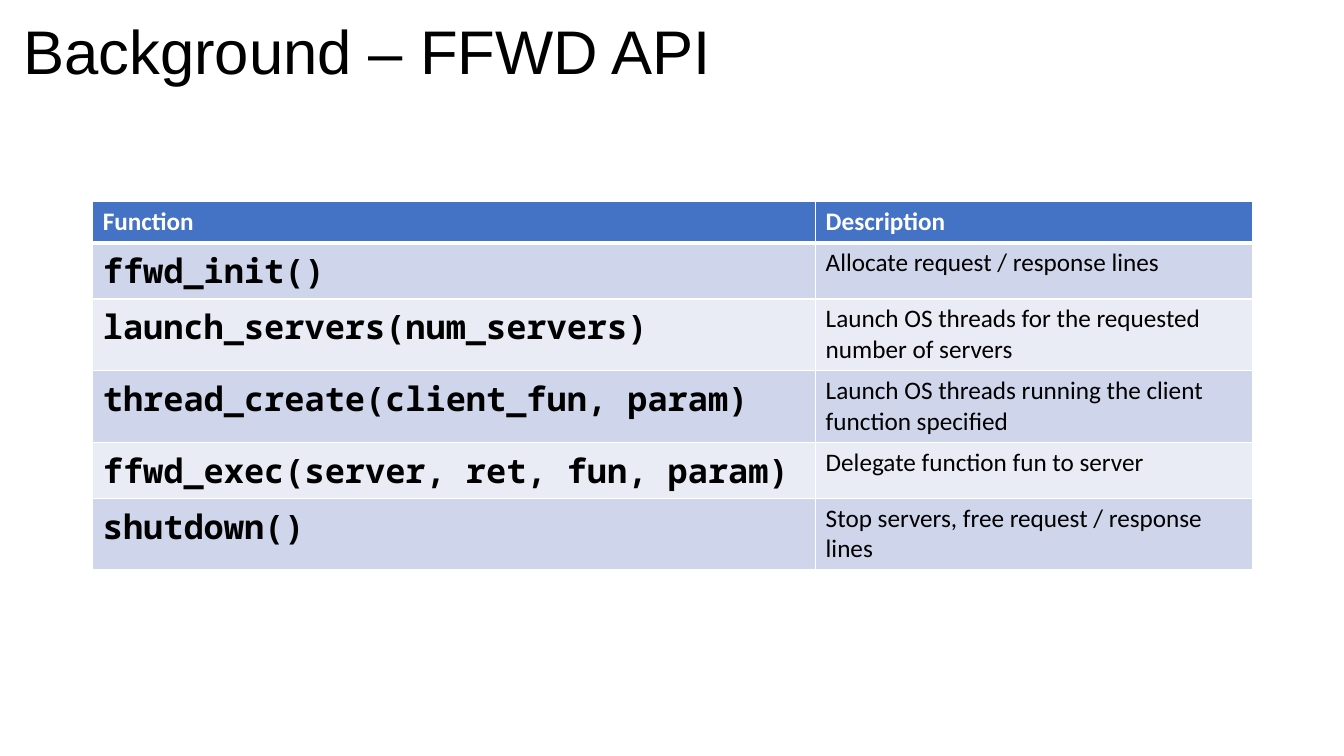
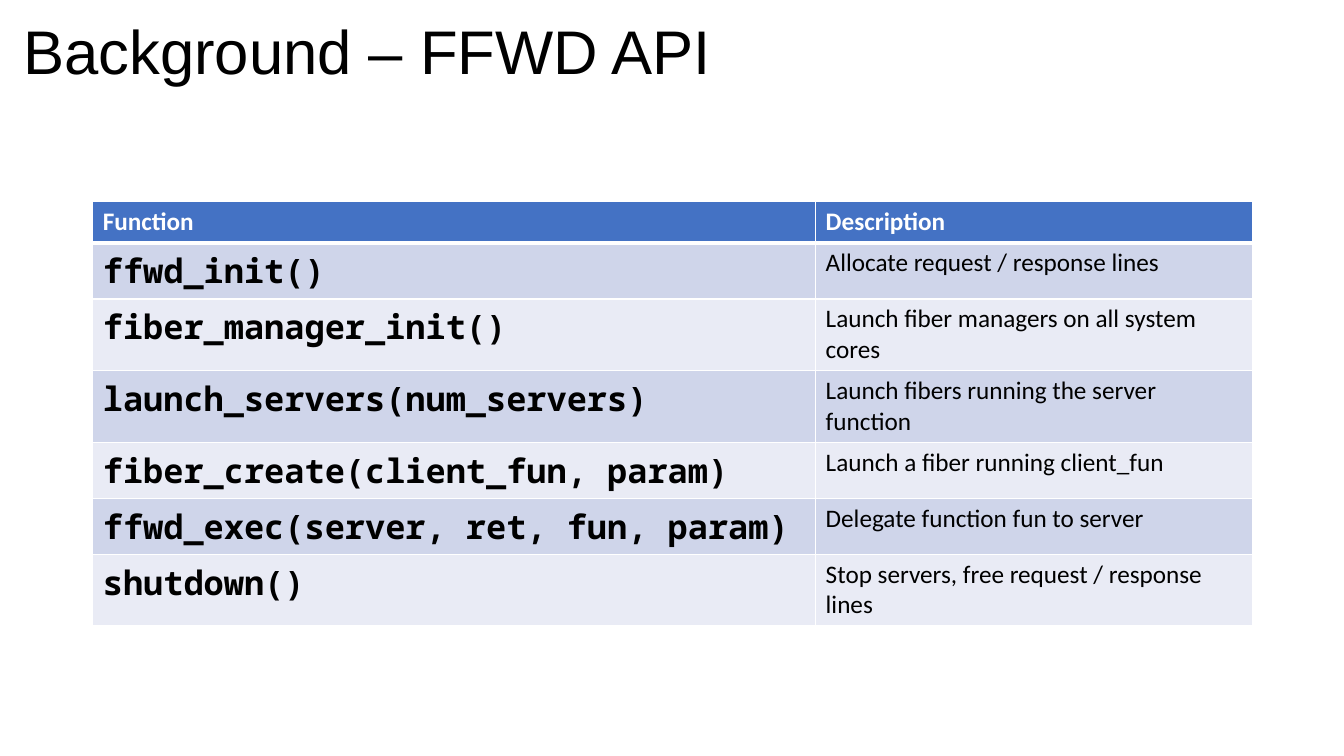
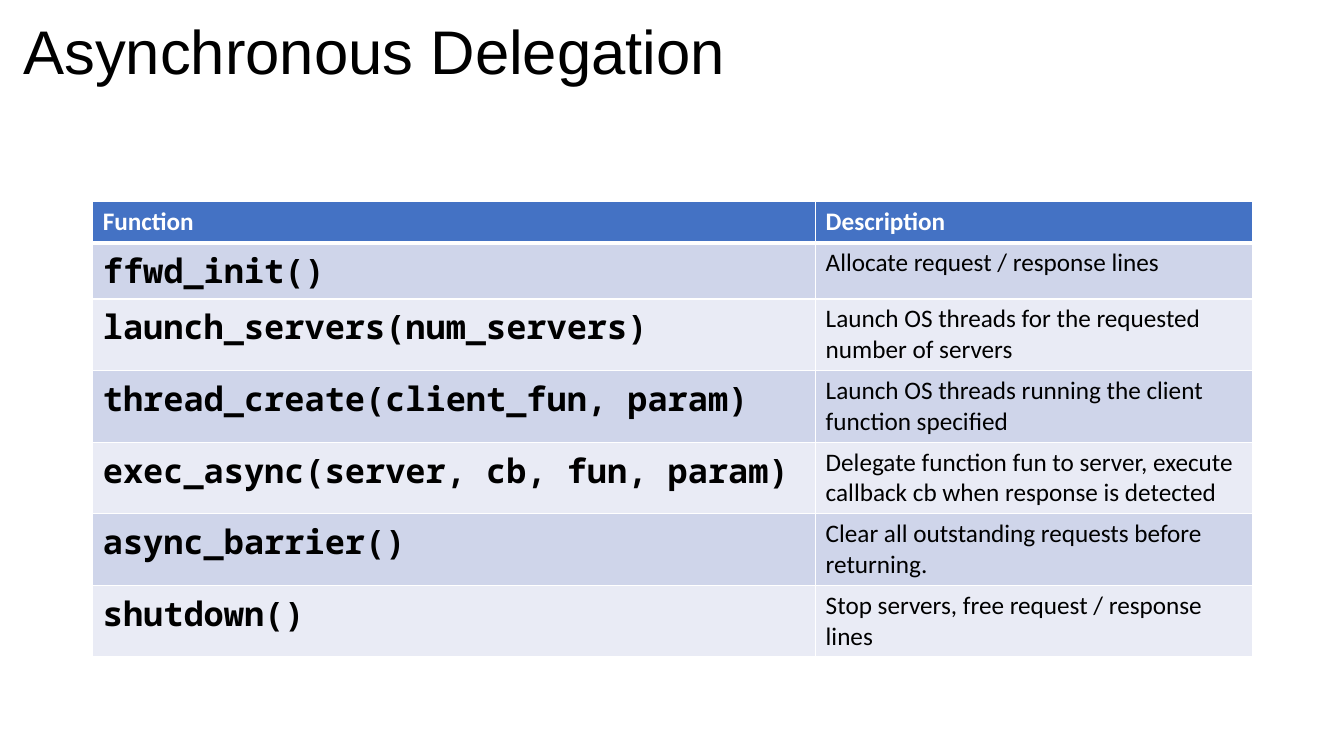
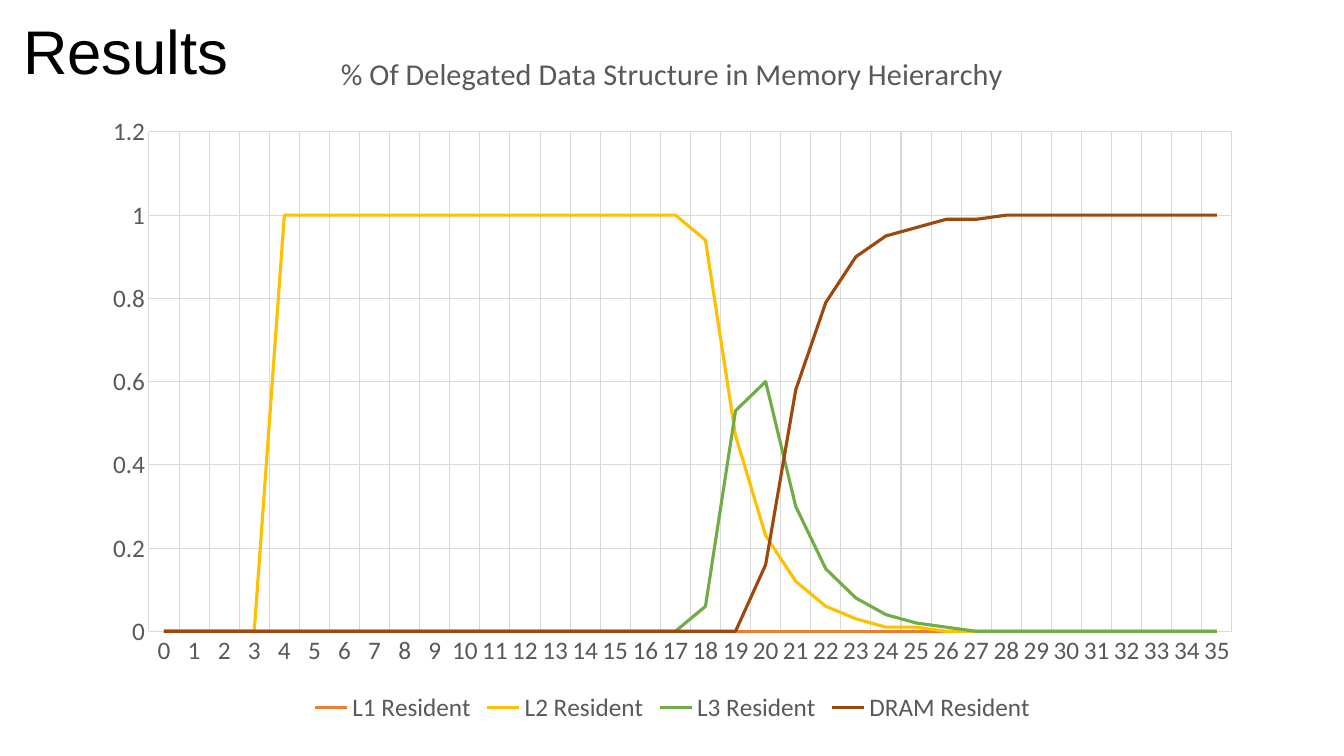
"""Build the delegation API tables and the memory residency chart."""
import dataclasses

import lxml.etree
import pptx
import pptx.chart.data
import pptx.dml.color
import pptx.enum.chart
import pptx.enum.text
import pptx.oxml.ns
import pptx.util


@dataclasses.dataclass(frozen=True)
class Theme:
    heading: str = "Arial"
    body: str = "Calibri"
    code: str = "Noto Sans Mono"
    black: str = "000000"
    white: str = "FFFFFF"
    header: str = "4472C4"
    bands: tuple = ("CFD5EA", "E9EBF5")
    label: str = "595959"
    grid: str = "D9D9D9"
    title_size: float = 44
    code_size: float = 24
    body_size: float = 18
    chart_title_size: float = 21.6
    border: float = 1
    header_border: float = 3
    grid_line: float = 0.75
    series_line: float = 2.25


THEME = Theme()
PX = 9144
SLIDE_SIZE = (1333, 750)
TITLE_BOX = (13, 16, 1150, 145)
TABLE_ORIGIN = (92, 200)
COLUMN_WIDTHS = (717, 433)
ROW_HEIGHT = 41
CHART_BOX = (89, 27, 1156, 695)

TABLE_HEADER = ("Function", "Description")
INIT = ("ffwd_init()", "Allocate request / response lines")
LAUNCH = ("launch_servers(num_servers)", "Launch OS threads for the requested number of servers")
THREAD = ("thread_create(client_fun, param)", "Launch OS threads running the client function specified")
EXEC = ("ffwd_exec(server, ret, fun, param)", "Delegate function fun to server")
SHUTDOWN = ("shutdown()", "Stop servers, free request / response lines")

API_SLIDES = [
    ("Background – FFWD API", [INIT, LAUNCH, THREAD, EXEC, SHUTDOWN]),
    ("Background – FFWD API", [
        INIT,
        ("fiber_manager_init()", "Launch fiber managers on all system cores"),
        ("launch_servers(num_servers)", "Launch fibers running the server function"),
        ("fiber_create(client_fun, param)", "Launch a fiber running client_fun"),
        EXEC,
        SHUTDOWN,
    ]),
    ("Asynchronous Delegation", [
        INIT,
        LAUNCH,
        THREAD,
        ("exec_async(server, cb, fun, param)",
         "Delegate function fun to server, execute callback cb when response is detected"),
        ("async_barrier()", "Clear all outstanding requests before returning."),
        SHUTDOWN,
    ]),
]

RESULTS_TITLE = "Results"
CHART_TITLE = "% Of Delegated Data Structure in Memory Heierarchy"
CATEGORIES = [str(number) for number in range(36)]
RESIDENCY = [
    ("L1 Resident", "ED7D31", [0] * 36),
    ("L2 Resident", "FFC000",
     [0] * 4 + [1] * 14 + [0.94, 0.47, 0.23, 0.12, 0.06, 0.03, 0.01, 0.01] + [0] * 10),
    ("L3 Resident", "70AD47",
     [0] * 18 + [0.06, 0.53, 0.6, 0.3, 0.15, 0.08, 0.04, 0.02, 0.01] + [0] * 9),
    ("DRAM Resident", "9E480E",
     [0] * 20 + [0.16, 0.58, 0.79, 0.9, 0.95, 0.97, 0.99, 0.99] + [1] * 8),
]


def px(*lengths):
    return [length * PX for length in lengths]


def rgb(color):
    return pptx.dml.color.RGBColor.from_string(color)


def assign(target, values):
    for name, value in values.items():
        setattr(target, name, value)


def style_font(font, name, size, color, bold=False):
    assign(font, {"name": name, "size": pptx.util.Pt(size), "bold": bold})
    font.color.rgb = rgb(color)


def style_line(line, color, width):
    line.color.rgb = rgb(color)
    line.width = pptx.util.Pt(width)


def add_titled_slide(deck, text):
    slide = deck.slides.add_slide(deck.slide_layouts[5])
    title = slide.shapes.title
    assign(title, dict(zip(("left", "top", "width", "height"), px(*TITLE_BOX))))
    title.text = text
    assign(title.text_frame, {
        "word_wrap": True,
        "auto_size": pptx.enum.text.MSO_AUTO_SIZE.NONE,
        "vertical_anchor": pptx.enum.text.MSO_ANCHOR.TOP,
    })
    paragraph = title.text_frame.paragraphs[0]
    assign(paragraph, {"alignment": pptx.enum.text.PP_ALIGN.LEFT, "line_spacing": 0.9})
    style_font(paragraph.runs[0].font, THEME.heading, THEME.title_size, THEME.black)
    return slide


def add_borders(cell, top, bottom):
    qn = pptx.oxml.ns.qn
    properties = cell._tc.get_or_add_tcPr()
    widths = {"lnL": THEME.border, "lnR": THEME.border, "lnT": top, "lnB": bottom}
    for side, width in widths.items():
        line = lxml.etree.SubElement(properties, qn("a:" + side), w=str(pptx.util.Pt(width)))
        fill = lxml.etree.SubElement(line, qn("a:solidFill"))
        lxml.etree.SubElement(fill, qn("a:srgbClr"), val=THEME.white)


def add_api_table(slide, functions):
    rows = [TABLE_HEADER, *functions]
    size = (sum(COLUMN_WIDTHS), ROW_HEIGHT * len(rows))
    table = slide.shapes.add_table(
        len(rows), len(COLUMN_WIDTHS), *px(*TABLE_ORIGIN, *size)).table
    for column, width in zip(table.columns, px(*COLUMN_WIDTHS)):
        column.width = width
    header_font = (THEME.body, THEME.body_size, THEME.white, True)
    column_fonts = (
        (THEME.code, THEME.code_size, THEME.black, True),
        (THEME.body, THEME.body_size, THEME.black, False),
    )
    for row_index, row in enumerate(rows):
        is_header = row_index == 0
        fill = THEME.header if is_header else THEME.bands[(row_index - 1) % 2]
        top = THEME.header_border if row_index == 1 else THEME.border
        bottom = THEME.header_border if is_header else THEME.border
        for column_index, text in enumerate(row):
            cell = table.cell(row_index, column_index)
            cell.text = text
            add_borders(cell, top, bottom)
            cell.fill.solid()
            cell.fill.fore_color.rgb = rgb(fill)
            font = header_font if is_header else column_fonts[column_index]
            style_font(cell.text_frame.paragraphs[0].runs[0].font, *font)


def add_residency_chart(slide):
    data = pptx.chart.data.CategoryChartData()
    data.categories = CATEGORIES
    for name, _, values in RESIDENCY:
        data.add_series(name, values)
    chart = slide.shapes.add_chart(
        pptx.enum.chart.XL_CHART_TYPE.LINE, *px(*CHART_BOX), data).chart
    assign(chart, {"has_title": True, "has_legend": True})
    label_font = (THEME.body, THEME.body_size, THEME.label)
    style_font(chart.font, *label_font)

    chart.chart_title.text_frame.text = CHART_TITLE
    chart.chart_title.include_in_layout = False
    style_font(chart.chart_title.text_frame.paragraphs[0].runs[0].font,
               THEME.body, THEME.chart_title_size, THEME.label)
    assign(chart.legend, {
        "position": pptx.enum.chart.XL_LEGEND_POSITION.BOTTOM,
        "include_in_layout": False,
    })
    style_font(chart.legend.font, *label_font)

    for axis in (chart.category_axis, chart.value_axis):
        assign(axis, {
            "has_major_gridlines": True,
            "major_tick_mark": pptx.enum.chart.XL_TICK_MARK.NONE,
            "minor_tick_mark": pptx.enum.chart.XL_TICK_MARK.NONE,
        })
        style_font(axis.tick_labels.font, *label_font)
        style_line(axis.major_gridlines.format.line, THEME.grid, THEME.grid_line)
    style_line(chart.category_axis.format.line, THEME.grid, THEME.grid_line)
    chart.value_axis.format.line.fill.background()
    assign(chart.value_axis, {"minimum_scale": 0, "maximum_scale": 1.2, "major_unit": 0.2})

    chart.plots[0].vary_by_categories = False
    for series, (_, color, _) in zip(chart.plots[0].series, RESIDENCY):
        series.smooth = False
        style_line(series.format.line, color, THEME.series_line)


def main():
    deck = pptx.Presentation()
    assign(deck, dict(zip(("slide_width", "slide_height"), px(*SLIDE_SIZE))))
    for title, functions in API_SLIDES:
        add_api_table(add_titled_slide(deck, title), functions)
    add_residency_chart(add_titled_slide(deck, RESULTS_TITLE))
    deck.save("out.pptx")


if __name__ == "__main__":
    main()
